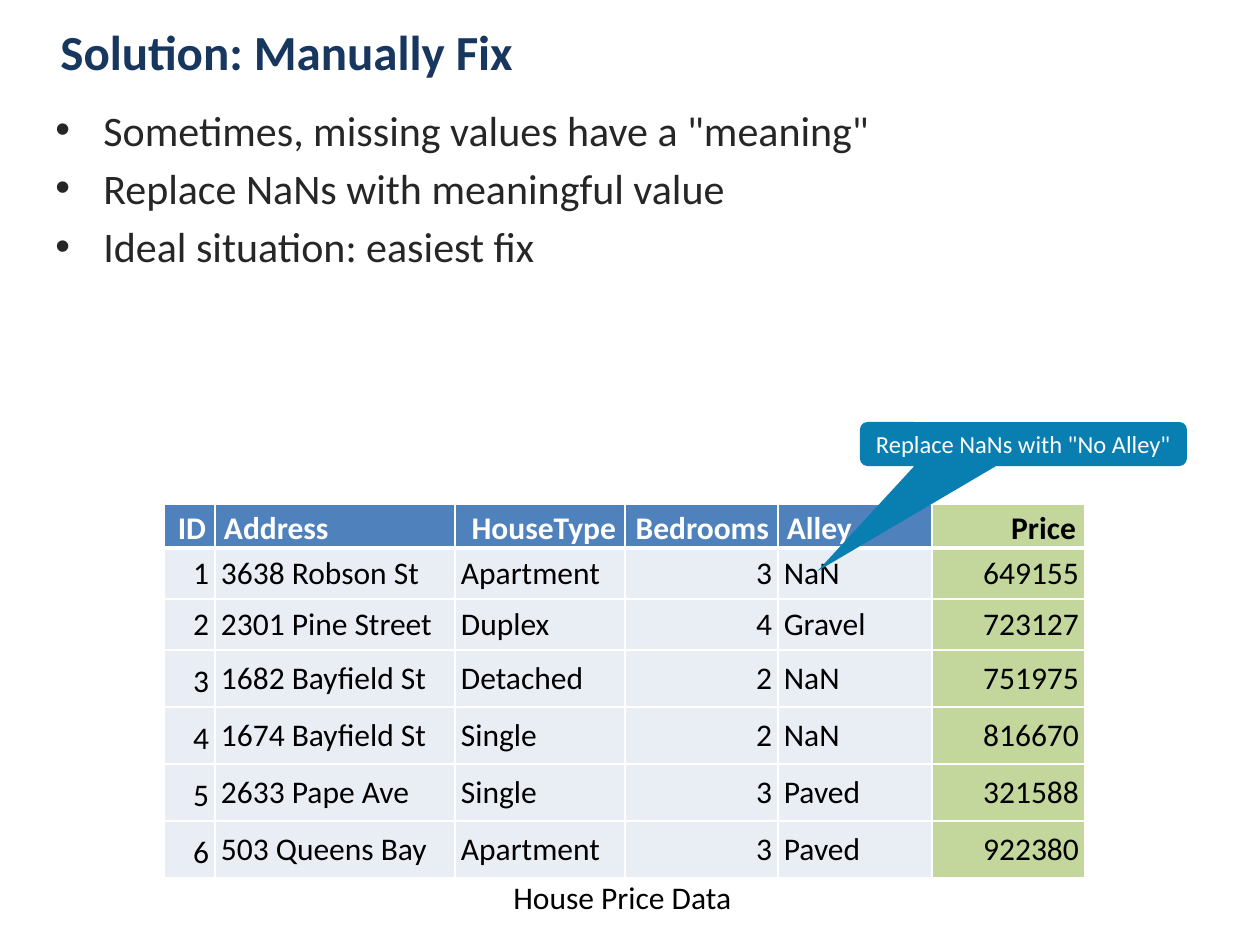
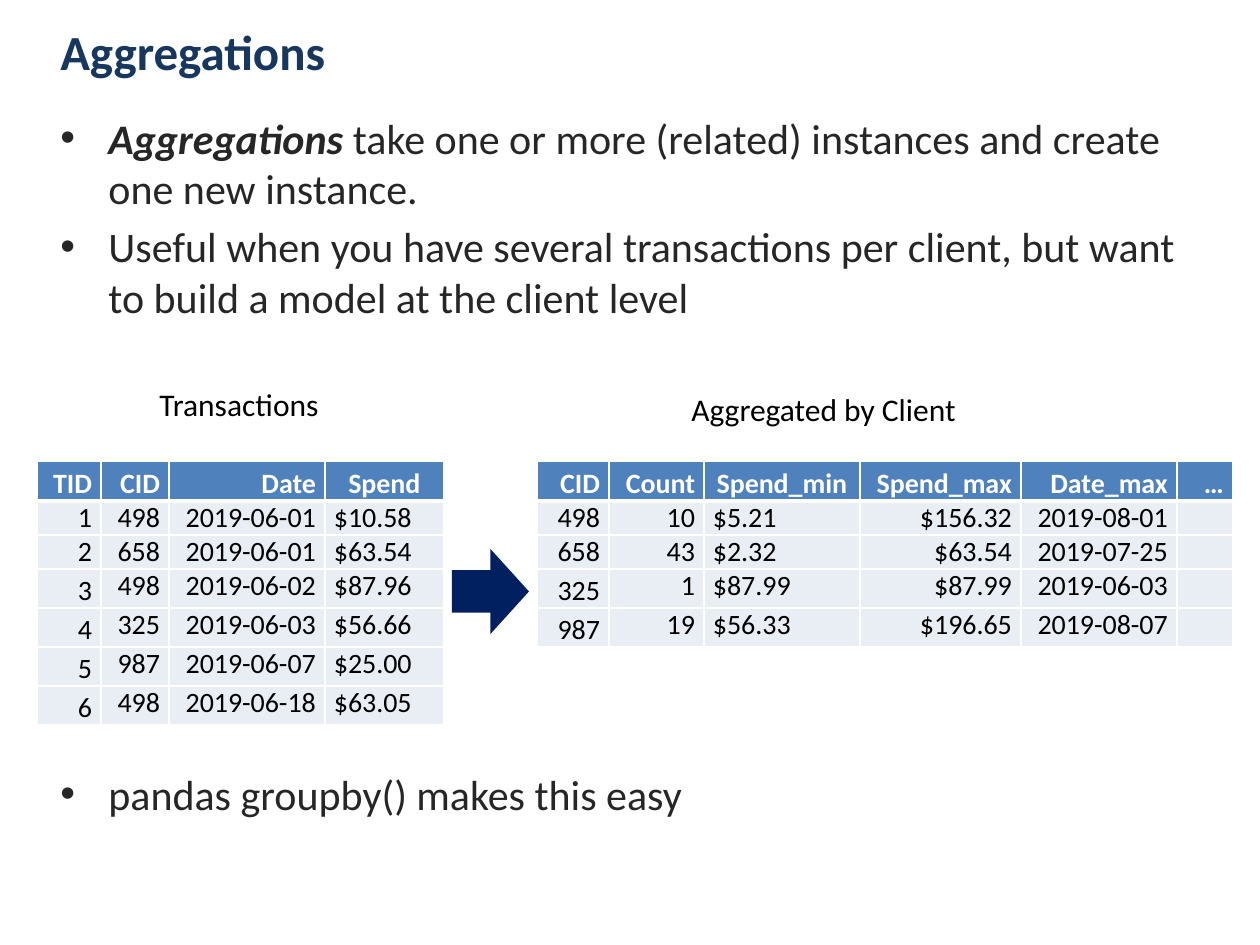
import dataclasses
import lxml.etree
import pptx
import pptx.dml.color
import pptx.enum.shapes
import pptx.enum.text
import pptx.oxml.ns
import pptx.util


@dataclasses.dataclass(frozen=True)
class Theme:
    face: str = "Calibri"
    navy: str = "17375E"
    ink: str = "262626"
    black: str = "000000"
    white: str = "FFFFFF"
    head: str = "4F81BD"
    pale: str = "E9EDF4"
    green: str = "C3D69B"
    teal: str = "097EB1"
    arrow: str = "002060"
    title: int = 28
    body: int = 24
    label: int = 18
    small: int = 16
    note: int = 14


PX = 914400 // 126
look = Theme()
rgb = pptx.dml.color.RGBColor.from_string
qn = pptx.oxml.ns.qn
kinds = pptx.enum.shapes.MSO_SHAPE
middle = pptx.enum.text.MSO_ANCHOR.MIDDLE
top = pptx.enum.text.MSO_ANCHOR.TOP
sides = {
    "l": pptx.enum.text.PP_ALIGN.LEFT,
    "c": pptx.enum.text.PP_ALIGN.CENTER,
    "r": pptx.enum.text.PP_ALIGN.RIGHT,
}


def text(frame, *lines, size, color, bold=False, align="l", lead="", dots=False, space=None):
    for n, line in enumerate(lines):
        para = frame.paragraphs[0] if n == 0 else frame.add_paragraph()
        para.alignment = sides[align]
        if dots:
            props = para._p.get_or_add_pPr()
            props.set("marL", str(48 * PX))
            props.set("indent", str(-48 * PX))
            lxml.etree.SubElement(props, qn("a:buFont")).set("typeface", "Arial")
            lxml.etree.SubElement(props, qn("a:buChar")).set("char", "•")
            if n:
                para.space_before = pptx.util.Pt(4.4)
        if space:
            para.line_spacing = space
        if not line:
            end = lxml.etree.SubElement(para._p, qn("a:endParaRPr"))
            end.set("sz", str(size * 100))
            continue
        parts = [(lead, True), (line, False)] if lead and n == 0 else [(line, False)]
        for words, strong in parts:
            run = para.add_run()
            run.text = words
            run.font.name = look.face
            run.font.size = pptx.util.Pt(size)
            run.font.bold = bold or strong
            run.font.italic = strong
            run.font.color.rgb = rgb(color)


def grid(slide, left, y, cols, rows, data, heads, aligns, size, pad, centred, accent=None):
    table = slide.shapes.add_table(
        len(rows), len(cols), left * PX, y * PX, sum(cols) * PX, sum(rows) * PX
    ).table
    for col, wide in zip(table.columns, cols):
        col.width = wide * PX
    for row, tall in zip(table.rows, rows):
        row.height = tall * PX
    for r, line in enumerate(data):
        for c, words in enumerate(line):
            cell = table.cell(r, c)
            cell.margin_left = cell.margin_right = (pad if r and pad else 9) * PX
            cell.margin_top = cell.margin_bottom = (pad if r else 0) * PX
            cell.vertical_anchor = middle if r == 0 or c == 0 or centred else top
            props = cell._tc.get_or_add_tcPr()
            for side in "LRTB":
                thick = (r, side) in ((0, "B"), (1, "T"))
                edge = lxml.etree.SubElement(props, qn("a:ln" + side))
                edge.set("w", str(pptx.util.Pt(3 if thick else 1)))
                paint = lxml.etree.SubElement(edge, qn("a:solidFill"))
                lxml.etree.SubElement(paint, qn("a:srgbClr")).set("val", look.white)
            cell.fill.solid()
            plain = look.pale if r else look.head
            cell.fill.fore_color.rgb = rgb(look.green if c == accent else plain)
            text(
                cell.text_frame, words, size=size, bold=r == 0,
                color=look.black if r or c == accent else look.white,
                align=aligns[c] if r else heads[c],
                space=1.15 if r == 0 or (c == 0 and r > 2) else None,
            )


deck = pptx.Presentation()
deck.slide_width = 1260 * PX
deck.slide_height = 945 * PX

pages = [
    {
        "title": "Solution: Manually Fix",
        "lists": [((43, 98, 1164, 374), "", (
            'Sometimes, missing values have a "meaning"',
            "Replace NaNs with meaningful value",
            "Ideal situation: easiest fix",
        ))],
        "labels": [((501, 872, 246, 50), "House Price Data")],
        "grids": [dict(
            left=164, y=504, cols=(51, 240, 170, 153, 154, 153),
            rows=(44, 51, 51, 57, 57, 57, 57),
            heads="rlrrlr", aligns="rllrlr", size=look.label, pad=6, centred=True, accent=5,
            data=[
                ("ID", "Address", "HouseType", "Bedrooms", "Alley", "Price"),
                ("1", "3638 Robson St", "Apartment", "3", "NaN", "649155"),
                ("2", "2301 Pine Street", "Duplex", "4", "Gravel", "723127"),
                ("3", "1682 Bayfield St", "Detached", "2", "NaN", "751975"),
                ("4", "1674 Bayfield St", "Single", "2", "NaN", "816670"),
                ("5", "2633 Pape Ave", "Single", "3", "Paved", "321588"),
                ("6", "503 Queens Bay", "Apartment", "3", "Paved", "922380"),
            ],
        )],
        "shape": (kinds.ROUNDED_RECTANGULAR_CALLOUT, (860, 422, 327, 44), look.teal,
                  (-0.63, 2.89, 0.17), 'Replace NaNs with "No Alley"'),
    },
    {
        "title": "Aggregations",
        "lists": [
            ((48, 106, 1164, 249), "Aggregations", (
                " take one or more (related) instances and create one new instance.",
                "Useful when you have several transactions per client, "
                "but want to build a model at the client level",
            )),
            ((48, 762, 1164, 176), "", ("pandas groupby() makes this easy",)),
        ],
        "labels": [
            ((147, 379, 186, 50), "Transactions"),
            ((679, 384, 294, 50), "Aggregated by Client"),
        ],
        "grids": [
            dict(
                left=37, y=461, cols=(64, 68, 156, 119), rows=(40, 34, 34, 39, 39, 39, 39),
                heads="rrrc", aligns="rrrl", size=look.small, pad=0, centred=False,
                data=[
                    ("TID", "CID", "Date", "Spend"),
                    ("1", "498", "2019-06-01", "$10.58"),
                    ("2", "658", "2019-06-01", "$63.54"),
                    ("3", "498", "2019-06-02", "$87.96"),
                    ("4", "325", "2019-06-03", "$56.66"),
                    ("5", "987", "2019-06-07", "$25.00"),
                    ("6", "498", "2019-06-18", "$63.05"),
                ],
            ),
            dict(
                left=537, y=461, cols=(72, 95, 156, 161, 156, 56), rows=(40, 34, 34, 39, 39),
                heads="rrcrrr", aligns="rrlrrl", size=look.small, pad=0, centred=False,
                data=[
                    ("CID", "Count", "Spend_min", "Spend_max", "Date_max", "…"),
                    ("498", "10", "$5.21", "$156.32", "2019-08-01", ""),
                    ("658", "43", "$2.32", "$63.54", "2019-07-25", ""),
                    ("325", "1", "$87.99", "$87.99", "2019-06-03", ""),
                    ("987", "19", "$56.33", "$196.65", "2019-08-07", ""),
                ],
            ),
        ],
        "shape": (kinds.RIGHT_ARROW, (452, 549, 77, 85), look.arrow, (), ""),
    },
]

for page in pages:
    slide = deck.slides.add_slide(deck.slide_layouts[6])
    frame = slide.shapes.add_textbox(*[n * PX for n in (48, 6, 1033, 90)]).text_frame
    frame.word_wrap = True
    frame.vertical_anchor = middle
    text(frame, page["title"], size=look.title, color=look.navy, bold=True)

    for box, lead, lines in page["lists"]:
        frame = slide.shapes.add_textbox(*[n * PX for n in box]).text_frame
        frame.word_wrap = True
        text(frame, *lines, size=look.body, color=look.ink, lead=lead, dots=True)

    for spec_grid in page["grids"]:
        grid(slide, **spec_grid)

    for box, words in page["labels"]:
        frame = slide.shapes.add_textbox(*[n * PX for n in box]).text_frame
        frame.word_wrap = False
        frame.auto_size = pptx.enum.text.MSO_AUTO_SIZE.SHAPE_TO_FIT_TEXT
        text(frame, words, size=look.label, color=look.black)

    kind, box, fill, bends, words = page["shape"]
    mark = slide.shapes.add_shape(kind, *[n * PX for n in box])
    mark.shadow.inherit = False
    mark.fill.solid()
    mark.fill.fore_color.rgb = rgb(fill)
    mark.line.fill.background()
    for n, bend in enumerate(bends):
        mark.adjustments[n] = bend
    if words:
        mark.text_frame.vertical_anchor = middle
        text(mark.text_frame, words, size=look.note, color=look.white, align="c")

deck.save("out.pptx")
